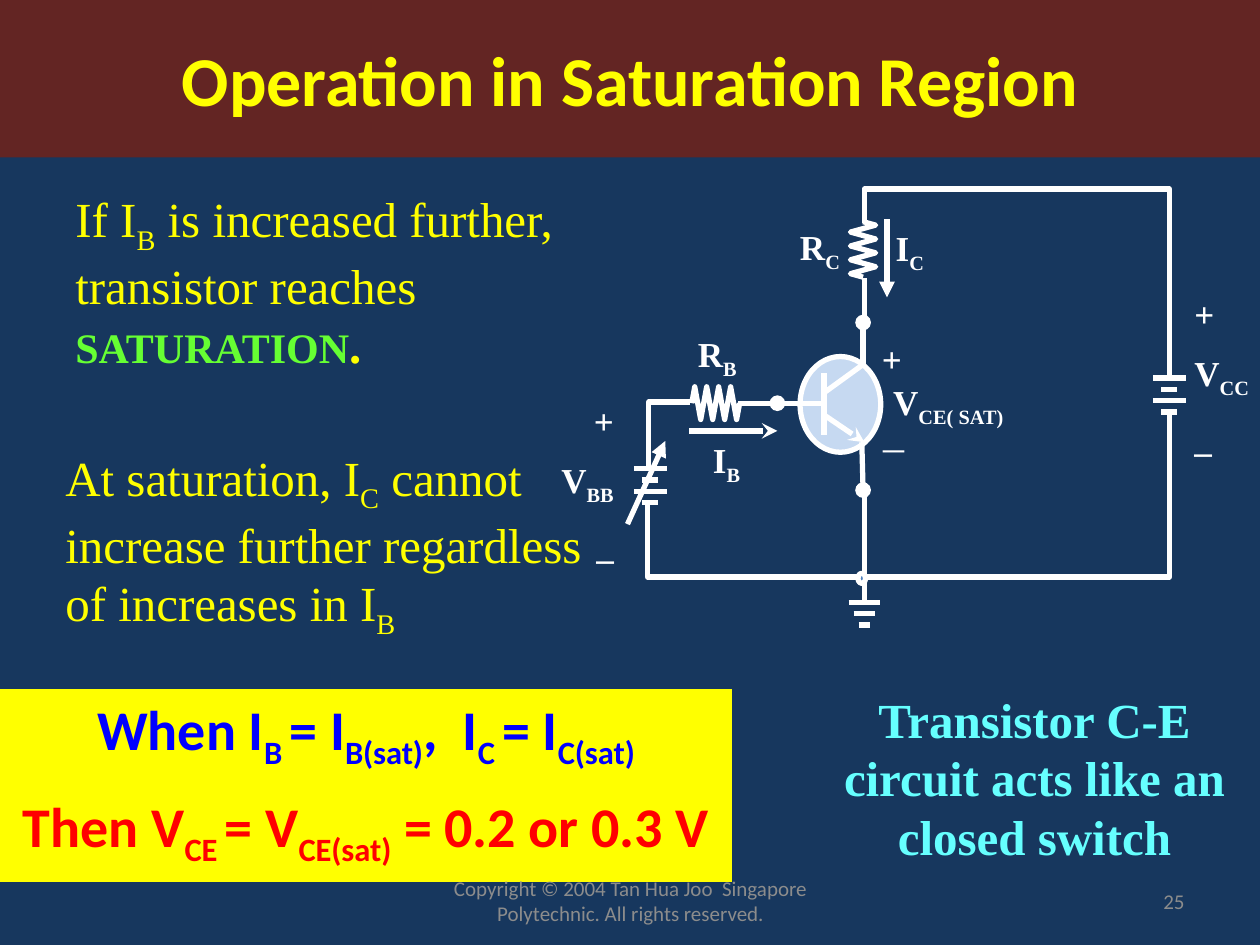
from lxml import etree
from pptx import Presentation
from pptx.dml.color import RGBColor
from pptx.enum.shapes import MSO_CONNECTOR, MSO_SHAPE
from pptx.enum.text import MSO_ANCHOR, PP_ALIGN
from pptx.oxml.ns import qn
from pptx.util import Cm, Pt

LEFT, CENTER, RIGHT = PP_ALIGN.LEFT, PP_ALIGN.CENTER, PP_ALIGN.RIGHT
TOP, MIDDLE = MSO_ANCHOR.TOP, MSO_ANCHOR.MIDDLE
STRAIGHT, OVAL, RECTANGLE = MSO_CONNECTOR.STRAIGHT, MSO_SHAPE.OVAL, MSO_SHAPE.RECTANGLE
TITLE_ONLY = 5
GRID = 2.54  # centimetres in one grid unit; the slide is 10 by 7.5 units

THEME = {
    "serif": "Times New Roman", "sans": "Calibri",
    "background": "17375E", "banner": "632523", "panel": "FFFF00",
    "title": "FFFF00", "body": "FFFF00", "highlight": "66FF33",
    "when": "0000FF", "then": "FF0000", "remark": "66FFFF",
    "circuit": "FFFFFF", "transistor": "C6D9F1", "node": "4F81BD", "footer": "8C8C8C",
    "title_size": 40, "panel_size": 32, "body_size": 28, "highlight_size": 24,
    "label_size": 20, "minus_size": 24, "footer_size": 12, "stroke": 3,
}

# Text between bars is subscript.
TITLE = "Operation in Saturation Region"
INCREASE = "If I|B| is increased further, transistor reaches "
HIGHLIGHT = "SATURATION"
CONCLUSION = "At saturation, I|C| cannot increase further regardless of increases in I|B|"
REMARK = "Transistor C-E circuit acts like an closed switch"
RULE = ["When I|B |= I|B(sat)|,  I|C |= I|C(sat)|",
        "Then V|CE |= V|CE(sat)| = 0.2 or 0.3 V"]
COPYRIGHT = "Copyright © 2004 Tan Hua Joo  Singapore Polytechnic. All rights reserved."
PAGE = "25"

# (paragraphs, box, alignment)
LABELS = [
    (["I|C|"], (7.01, 1.75, 0.45, 0.43), LEFT),
    (["I|B|"], (5.56, 3.43, 0.55, 0.43), LEFT),
    (["R|C|"], (6.25, 1.74, 0.65, 0.43), LEFT),
    (["R|B|"], (5.44, 2.59, 0.65, 0.43), LEFT),
    (["V|CE( SAT)|"], (6.99, 2.97, 2.06, 0.43), LEFT),
    (["+", "V|BB|", "_"], (4.09, 3.12, 0.88, 1.43), RIGHT),
    (["+", "V|CC|", "_"], (9.38, 2.27, 0.69, 1.43), LEFT),
]
PLUS_BOX = (6.98, 2.67, 0.19, 0.36)
MINUS_BOX = (6.99, 3.21, 0.32, 0.43)

WIRES = [
    [(5.15, 3.72), (5.15, 3.19), (5.48, 3.19)],
    [(5.14, 3.99), (5.14, 4.58), (9.28, 4.58), (9.28, 3.25)],
    [(6.86, 1.77), (6.86, 1.5), (9.28, 1.5), (9.28, 2.99)],
]
# (start, end, half width) of the base and collector resistors
RESISTORS = [((5.49, 3.2), (5.87, 3.2), 0.13), ((6.85, 1.76), (6.85, 2.2), 0.1)]
# (centre x, y, width)
PLATES = (
    [(9.28, 3 + 0.09 * i, (0.26, 0.13)[i % 2]) for i in range(4)]
    + [(5.16, 3.72 + 0.09 * i, (0.26, 0.13)[i % 2]) for i in range(4)]
    + [(6.86, 4.78, 0.25), (6.86, 4.87, 0.17), (6.86, 4.96, 0.09)]
)
LEADS = [((6.18, 3.2), (5.86, 3.2)), ((6.86, 2.21), (6.86, 2.57)),
         ((6.86, 4.8), (6.86, 3.86))]
# (start, end, mark at the end)
TRANSISTOR_LEADS = [
    ((6.54, 2.96), (6.54, 3.45), None),
    ((6.55, 3.3), (6.86, 3.51), "stealth"),
    ((6.55, 3.11), (6.84, 2.9), None),
    ((6.53, 3.2), (6.17, 3.2), "oval"),
    ((6.84, 3.51), (6.85, 3.89), "oval"),
    ((6.85, 2.9), (6.85, 2.56), "oval"),
]
ARROWS = [
    ((5.47, 3.42), (6.17, 3.42), "stealth"),
    ((4.98, 4.16), (5.28, 3.5), "triangle"),
    ((7.04, 1.74), (7.04, 2.36), "triangle"),
]


def color(role):
    return RGBColor.from_string(THEME[role])


def units(values):
    return [Cm(value * GRID) for value in values]


def style_stroke(line):
    line.color.rgb = color("circuit")
    line.width = Pt(THEME["stroke"])


def add_line(shapes, start, end, mark=None):
    connector = shapes.add_connector(STRAIGHT, *units(start), *units(end))
    style_stroke(connector.line)
    if mark:
        outline = connector.line._get_or_add_ln()
        etree.SubElement(outline, qn("a:tailEnd"), type=mark)
    etree.SubElement(connector._element.spPr, qn("a:effectLst"))


def add_path(shapes, points):
    first, *rest = [units(point) for point in points]
    builder = shapes.build_freeform(*first, scale=1.0)
    builder.add_line_segments(rest, close=False)
    wire = builder.convert_to_shape()
    wire.fill.background()
    wire.shadow.inherit = False
    style_stroke(wire.line)


def zigzag(start, end, reach, teeth=8):
    (x0, y0), (x1, y1) = start, end
    length = abs(x1 - x0) + abs(y1 - y0)
    across = ((y1 - y0) / length * reach, -(x1 - x0) / length * reach)
    points = [start]
    for tooth in range(teeth):
        along, side = (tooth + 0.5) / teeth, (-1) ** tooth
        points.append((x0 + (x1 - x0) * along + side * across[0],
                       y0 + (y1 - y0) * along + side * across[1]))
    return points + [end]


def add_shape(shapes, kind, box, fill):
    shape = shapes.add_shape(kind, *units(box))
    shape.shadow.inherit = False
    shape.fill.solid()
    shape.fill.fore_color.rgb = color(fill)
    shape.line.fill.background()
    return shape


def write(frame, paragraphs, family, size, roles, bold=False, align=LEFT, anchor=TOP):
    """Fill a text frame, one colour role per paragraph."""
    frame.word_wrap = True
    frame.vertical_anchor = anchor
    for index, (text, role) in enumerate(zip(paragraphs, roles)):
        paragraph = frame.add_paragraph() if index else frame.paragraphs[0]
        paragraph.alignment = align
        if index:
            paragraph.space_before = Pt(THEME[size] / 2)
        font = paragraph.font
        font.name, font.size, font.bold = THEME[family], Pt(THEME[size]), bold
        font.color.rgb = color(role)
        for part, piece in enumerate(text.split("|")):
            if piece:
                run = paragraph.add_run()
                run.text = piece
                if part % 2:
                    run._r.get_or_add_rPr().set("baseline", "-25000")
    return frame


def add_text(shapes, box, paragraphs, family, size, role, **options):
    frame = shapes.add_textbox(*units(box)).text_frame
    return write(frame, paragraphs, family, size, [role] * len(paragraphs), **options)


def draw_circuit(shapes):
    for points in WIRES + [zigzag(*resistor) for resistor in RESISTORS]:
        add_path(shapes, points)
    for x, y, width in PLATES:
        add_line(shapes, (x - width / 2, y), (x + width / 2, y))
    for lead in LEADS:
        add_line(shapes, *lead)
    for box, fill in [((6.81, 4.55, 0.06, 0.08), "node"),
                      ((6.35, 2.83, 0.64, 0.76), "transistor")]:
        style_stroke(add_shape(shapes, OVAL, box, fill).line)
    for lead in TRANSISTOR_LEADS + ARROWS:
        add_line(shapes, *lead)
    for paragraphs, box, align in LABELS:
        add_text(shapes, box, paragraphs, "serif", "label_size", "circuit",
                 bold=True, align=align)
    for sign, box, size, bold in [("+", PLUS_BOX, "label_size", True),
                                  ("_", MINUS_BOX, "minus_size", False)]:
        frame = add_text(shapes, box, [sign], "serif", size, "circuit", bold=bold)
        frame.margin_left = frame.margin_right = Cm(0.05)
        frame.margin_top = frame.margin_bottom = Cm(0.03)


def main():
    deck = Presentation()
    deck.slide_width, deck.slide_height = units((10, 7.5))
    slide = deck.slides.add_slide(deck.slide_layouts[TITLE_ONLY])
    slide.background.fill.solid()
    slide.background.fill.fore_color.rgb = color("background")
    shapes = slide.shapes

    title = shapes.title
    title.left, title.top, title.width, title.height = units((0, 0, 10, 1.25))
    title.fill.solid()
    title.fill.fore_color.rgb = color("banner")
    write(title.text_frame, [TITLE], "sans", "title_size", ["title"],
          bold=True, align=CENTER, anchor=MIDDLE)

    panel = add_shape(shapes, RECTANGLE, (0, 5.47, 5.81, 1.53), "panel").text_frame
    write(panel, RULE, "sans", "panel_size", ["when", "then"], bold=True, align=CENTER)
    for paragraph in panel.paragraphs:
        paragraph.line_spacing = 0.9

    draw_circuit(shapes)

    increase = add_text(shapes, (0.5, 1.45, 4.01, 1.5), [INCREASE], "serif", "body_size", "body")
    for text, size, role in [(HIGHLIGHT, "highlight_size", "highlight"), (".", "body_size", "body")]:
        run = increase.paragraphs[0].add_run()
        run.text = text
        run.font.size, run.font.bold = Pt(THEME[size]), True
        run.font.color.rgb = color(role)
    add_text(shapes, (0.42, 3.5, 4.48, 1.5), [CONCLUSION], "serif", "body_size", "body")
    add_text(shapes, (6.54, 5.42, 3.34, 1.5), [REMARK], "serif", "body_size", "remark",
             bold=True, align=CENTER)
    for text, box, align in [(COPYRIGHT, (3.42, 6.95, 3.17, 0.4), CENTER),
                             (PAGE, (7.17, 6.95, 2.33, 0.4), RIGHT)]:
        add_text(shapes, box, [text], "sans", "footer_size", "footer", align=align, anchor=MIDDLE)
    deck.save("out.pptx")


if __name__ == "__main__":
    main()
